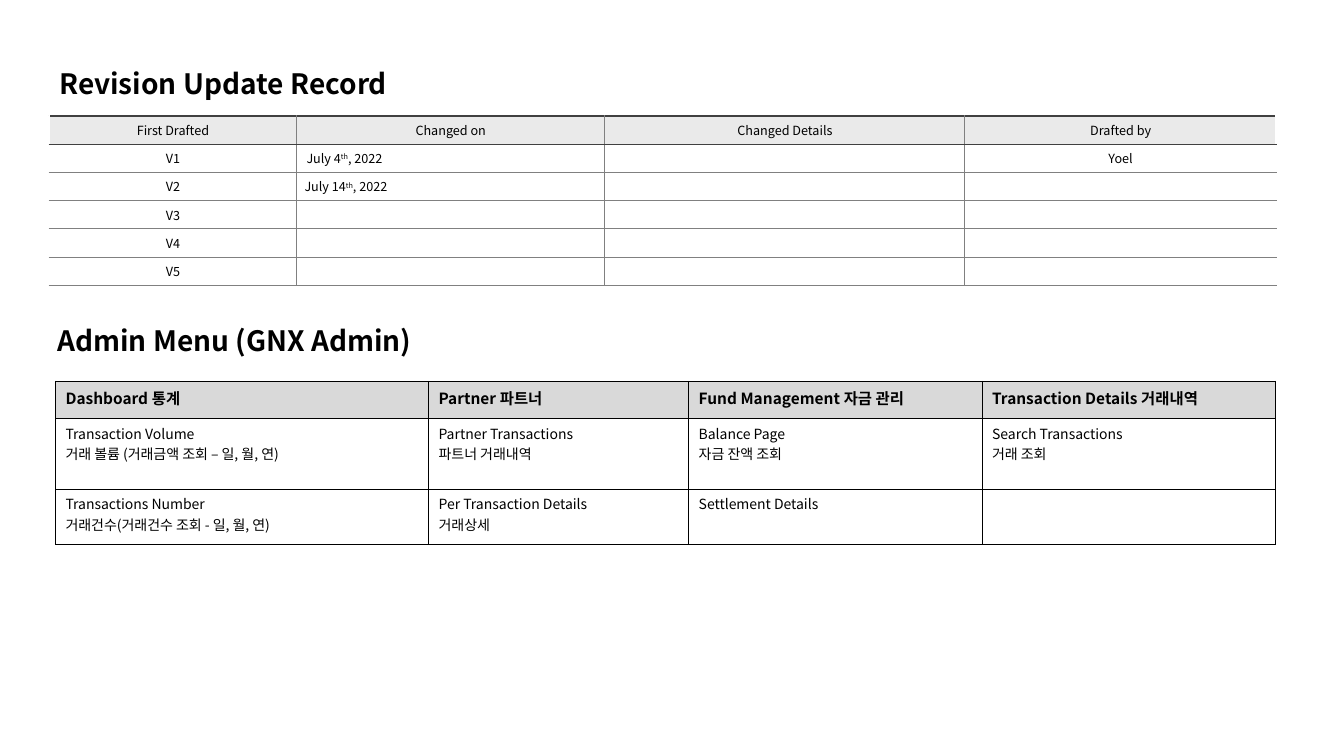
from dataclasses import dataclass

from lxml.etree import SubElement
from pptx import Presentation
from pptx.dml.color import RGBColor
from pptx.enum.text import MSO_ANCHOR, PP_ALIGN
from pptx.oxml.ns import qn
from pptx.slide import Slide
from pptx.table import _Cell as Cell
from pptx.text.text import TextFrame
from pptx.util import Inches, Pt

FONT = "Noto Sans CJK KR"
BLACK, WHITE, GREY, DARK = "000000", "FFFFFF", "808080", "404040"


@dataclass
class Edge:
    color: str
    width: float


@dataclass
class Title:
    text: str
    left: float
    top: float
    width: float
    height: float


@dataclass
class Grid:
    left: float
    top: float
    cols: list[float]
    rows: list[float]
    cells: list[list[str]]
    fill: str
    sizes: tuple[float, float]
    bold: bool
    ruled: bool


TITLES = [
    Title("Revision Update Record", 0.49, 0.59, 9.83, 0.45),
    Title("Admin Menu (GNX Admin)", 0.47, 3.15, 3.84, 0.44),
]

RECORD = Grid(
    0.49, 1.15, [2.45, 3.06, 3.57, 3.09], [0.28] * 6,
    [
        ["First Drafted", "Changed on", "Changed Details", "Drafted by"],
        ["V1", "July 4^th^, 2022", "", "Yoel"],
        ["V2", "July 14^th^, 2022", "", ""],
        *[[f"V{n}", "", "", ""] for n in range(3, 6)],
    ],
    "EAEAEA", (9, 9), False, True,
)

MENU = Grid(
    0.55, 3.78, [3.7, 2.58, 2.91, 2.91], [0.37, 0.7, 0.55],
    [
        ["Dashboard 통계", "Partner 파트너",
         "Fund Management 자금 관리", "Transaction Details 거래내역"],
        ["Transaction Volume\n거래 볼륨 (거래금액 조회 – 일, 월, 연)",
         "Partner Transactions\n파트너 거래내역",
         "Balance Page\n자금 잔액 조회", "Search Transactions\n거래 조회"],
        ["Transactions Number\n거래건수(거래건수 조회 - 일, 월, 연)",
         "Per Transaction Details\n거래상세", "Settlement Details", ""],
    ],
    "D9D9D9", (11, 10), True, False,
)


def color(code: str) -> RGBColor:
    return RGBColor.from_string(code)


def write(frame: TextFrame, text: str, size: float, bold: bool) -> None:
    first, *rest = text.split("^")
    frame.text = first
    for spot, part in enumerate(rest):
        run = frame.paragraphs[-1].add_run()
        run.text = part
        if spot % 2 == 0:
            run.font._element.set("baseline", "30000")
    for para in frame.paragraphs:
        for run in para.runs:
            run.font.size = Pt(size)
            run.font.bold = bold
            run.font.name = FONT
            run.font.color.rgb = color(BLACK)
            SubElement(run.font._element, qn("a:ea"), typeface=FONT)
        if not para.runs:
            SubElement(para._p, qn("a:endParaRPr"), sz=str(int(size * 100)))


def border(cell: Cell, edges: dict[str, Edge]) -> None:
    props = cell._tc.get_or_add_tcPr()
    for side in "LRTB":
        edge = edges[side]
        line = SubElement(props, qn(f"a:ln{side}"), w=str(Pt(edge.width)))
        fill = SubElement(line, qn("a:solidFill"))
        SubElement(fill, qn("a:srgbClr"), val=edge.color)


def outline(grid: Grid, row: int, col: int) -> dict[str, Edge]:
    if not grid.ruled:
        return dict.fromkeys("LRTB", Edge(BLACK, 0.25))
    edges = dict.fromkeys("LRTB", Edge(GREY, 0.75))
    if col == 0:
        edges["L"] = Edge(WHITE, 1.5)
    if col == len(grid.cols) - 1:
        edges["R"] = Edge(WHITE, 1.5)
    if row < 2:
        edges["T"] = Edge(DARK, 0.75 if row else 1.5)
    if row == 0:
        edges["B"] = Edge(DARK, 0.75)
    return edges


def draw_grid(slide: Slide, grid: Grid) -> None:
    frame = slide.shapes.add_table(
        len(grid.rows), len(grid.cols), Inches(grid.left), Inches(grid.top),
        Inches(sum(grid.cols)), Inches(sum(grid.rows)))
    table = frame.table
    table.first_row = table.horz_banding = False
    for col, width in zip(table.columns, grid.cols):
        col.width = Inches(width)
    for row, height in zip(table.rows, grid.rows):
        row.height = Inches(height)
    for r, texts in enumerate(grid.cells):
        for c, text in enumerate(texts):
            cell = table.cell(r, c)
            border(cell, outline(grid, r, c))
            cell.fill.solid()
            cell.fill.fore_color.rgb = color(WHITE if r else grid.fill)
            write(cell.text_frame, text, grid.sizes[min(r, 1)],
                  grid.bold and r == 0)
            if grid.ruled:
                cell.vertical_anchor = MSO_ANCHOR.MIDDLE
                cell.margin_top = cell.margin_bottom = Inches(0.04)
                cell.margin_left = Inches(0.08 if (r, c) == (2, 1) else 0.1)
                if r == 0 or c != 1:
                    cell.text_frame.paragraphs[0].alignment = PP_ALIGN.CENTER


def draw_title(slide: Slide, title: Title) -> None:
    box = slide.shapes.add_textbox(
        Inches(title.left), Inches(title.top),
        Inches(title.width), Inches(title.height))
    frame = box.text_frame
    frame.word_wrap = True
    frame.vertical_anchor = MSO_ANCHOR.BOTTOM
    write(frame, title.text, 20, True)


def main() -> None:
    deck = Presentation()
    deck.slide_width, deck.slide_height = Inches(13.33), Inches(7.5)
    slide = deck.slides.add_slide(deck.slide_layouts[6])
    for title, grid in zip(TITLES, [RECORD, MENU]):
        draw_title(slide, title)
        draw_grid(slide, grid)
    deck.save("out.pptx")


if __name__ == "__main__":
    main()
